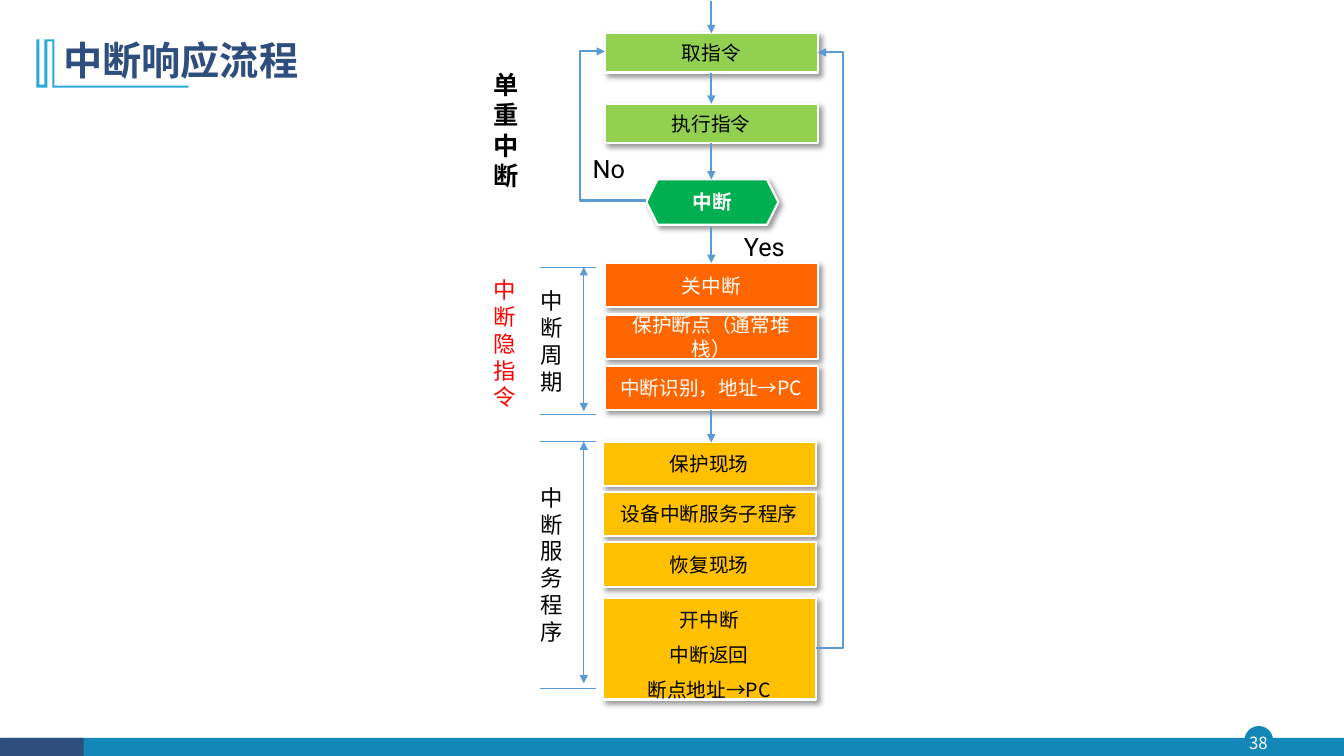
from lxml.etree import SubElement
from pptx import Presentation
from pptx.dml.color import RGBColor
from pptx.enum.shapes import MSO_CONNECTOR, MSO_SHAPE
from pptx.enum.text import MSO_ANCHOR, MSO_AUTO_SIZE, PP_ALIGN
from pptx.oxml.ns import qn
from pptx.util import Emu, Inches, Pt

COLORS = {
    "white": "FFFFFF", "black": "000000", "red": "FF0000",
    "navy": "2E4E7E", "teal": "1387B7", "sky": "28A9D6", "arrow": "5B9BD5",
    "fetch": "92D050", "decision": "00B050", "cycle": "FF6600", "service": "FFC000",
}
CJK, LATIN = "Noto Sans CJK SC", "Roboto"
TOP, BOTTOM = 0, 2
COLUMN = ROW = Inches(0.1)


class FlowSlide:
    """Draws flowchart elements on one slide, measured in grid columns and rows."""

    def __init__(self, deck):
        self.slide = deck.slides.add_slide(deck.slide_layouts[6])
        self.shapes = self.slide.shapes

    def color(self, name):
        return RGBColor.from_string(COLORS[name])

    def grid(self, *cells):
        return [Emu(round(cell * (ROW if i % 2 else COLUMN))) for i, cell in enumerate(cells)]

    def fill_text(self, frame, lines, size, color, font=CJK, bold=False, align=PP_ALIGN.LEFT, spacing=None):
        frame.word_wrap = True
        for index, line in enumerate(lines.split("\n")):
            paragraph = frame.paragraphs[0] if index == 0 else frame.add_paragraph()
            for key, value in {"alignment": align, "line_spacing": spacing}.items():
                setattr(paragraph, key, value)
            run = paragraph.add_run()
            run.text = line
            for key, value in {"size": Pt(size), "bold": bold, "name": font}.items():
                setattr(run.font, key, value)
            run.font.color.rgb = self.color(color)
            SubElement(run.font._element, qn("a:ea"), typeface=font)

    def label(self, area, lines, size, color="black", grow=True, anchor=MSO_ANCHOR.TOP, inset=None, **style):
        frame = self.shapes.add_textbox(*self.grid(*area)).text_frame
        settings = {"vertical_anchor": anchor}
        if grow:
            settings["auto_size"] = MSO_AUTO_SIZE.SHAPE_TO_FIT_TEXT
        if inset is not None:
            settings |= {f"margin_{side}": inset for side in ("left", "top", "right", "bottom")}
        for key, value in settings.items():
            setattr(frame, key, value)
        self.fill_text(frame, lines, size, color, **style)

    def paint(self, shape, fill, outline=None, width=1.5):
        shape.shadow.inherit = False
        shape.fill.solid()
        shape.fill.fore_color.rgb = self.color(fill)
        if outline:
            shape.line.color.rgb = self.color(outline)
            shape.line.width = Pt(width)
        else:
            shape.line.fill.background()

    def block(self, area, fill, kind=MSO_SHAPE.RECTANGLE, outline=None, width=1.5):
        shape = self.shapes.add_shape(kind, *self.grid(*area))
        self.paint(shape, fill, outline, width)
        return shape

    def step(self, area, lines, fill, color="black", kind=MSO_SHAPE.RECTANGLE, **style):
        shape = self.block(area, fill, kind, "white")
        effects = shape._element.spPr.find(qn("a:effectLst"))
        shadow = SubElement(effects, qn("a:outerShdw"), blurRad=str(int(Pt(4))), dist=str(int(Pt(3))),
                            dir="2700000", algn="tl", rotWithShape="0")
        tint = SubElement(shadow, qn("a:srgbClr"), val=COLORS["black"])
        SubElement(tint, qn("a:alpha"), val="40000")
        shape.text_frame.vertical_anchor = MSO_ANCHOR.MIDDLE
        self.fill_text(shape.text_frame, lines, 14, color, align=PP_ALIGN.CENTER, **style)
        return shape

    def outline(self, points, fill):
        start, *rest = [self.grid(*point) for point in points]
        builder = self.shapes.build_freeform(*start)
        builder.add_line_segments(rest, close=True)
        self.paint(builder.convert_to_shape(), fill)

    def arrow(self, start, end, source=None, target=None, via=None, width=1.5, ends=("tailEnd",)):
        kind = MSO_CONNECTOR.STRAIGHT if via is None else MSO_CONNECTOR.ELBOW
        link = self.shapes.add_connector(kind, *self.grid(*start, *end))
        if source is not None:
            link.begin_connect(source, BOTTOM)
        if target is not None:
            link.end_connect(target, TOP)
        link.line.color.rgb = self.color("arrow")
        link.line.width = Pt(width)
        for end_tag in ends:
            SubElement(link.line._get_or_add_ln(), qn(f"a:{end_tag}"), type="triangle")
        SubElement(link._element.spPr, qn("a:effectLst"))
        if via is not None:
            bend = round(100000 * (via - start[0]) / (end[0] - start[0]))
            adjustments = link._element.spPr.find(qn("a:prstGeom")).get_or_add_avLst()
            SubElement(adjustments, qn("a:gd"), name="adj1", fmla=f"val {bend}")

    def bracket(self, top, span_end, bottom):
        for row in (top, bottom):
            self.arrow((53.6, row), (59.1, row), width=0.5, ends=())
        self.arrow((57.9, top), (57.9, span_end), width=0.5, ends=("headEnd", "tailEnd"))


def draw_frame(page):
    page.block((123.5, 72.1, 2.7, 2.7), "teal", MSO_SHAPE.OVAL, "teal", 1)
    page.block((0.1, 73.2, 133.2, 1.9), "teal")
    page.block((0, 73.2, 8.3, 1.9), "navy")
    page.label((123.2, 72.1, 3.2, 3.1), "38", 12, "white", grow=False,
               anchor=MSO_ANCHOR.MIDDLE, inset=0, align=PP_ALIGN.CENTER)
    page.outline([(5.4, 3.9), (5.4, 8.5), (18.7, 8.5), (18.7, 8.7), (5.2, 8.7), (5.2, 4.1),
                  (4.7, 4.1), (4.7, 8.7), (3.6, 8.7), (3.6, 3.9), (3.9, 3.9), (3.9, 8.4),
                  (4.4, 8.4), (4.4, 3.9)], "sky")
    page.label((5.3, 2.8, 115, 6.8), "中断响应流程", 28, "navy", grow=False,
               anchor=MSO_ANCHOR.MIDDLE, bold=True, spacing=0.9)


def draw_flow(page):
    center, left, service_left, width = 70.55, 60, 59.8, 21.1
    fetch, execute = [
        page.step((left, 3.3 + 7 * i, width, 3.9), name, "fetch")
        for i, name in enumerate(["取指令", "执行指令"])
    ]
    page.step((64.1, 17.8, 13.1, 4.5), "中断", "decision", "white", MSO_SHAPE.HEXAGON, bold=True)
    disable, _, identify = [
        page.step((left, 26.1 + 5.1 * i, width, 4.4), name, "cycle", "white")
        for i, name in enumerate(["关中断", "保护断点（通常堆栈）", "中断识别，地址→PC"])
    ]
    for i, name in enumerate(["保护现场", "设备中断服务子程序", "恢复现场"]):
        page.step((service_left, 43.8 + 5 * i, width, 4.4), name, "service")
    page.step((service_left, 59.3, width, 10.1), "开中断\n中断返回\n断点地址→PC", "service", spacing=1.5)

    page.arrow((center, 0.1), (center, 3.3), target=fetch)
    page.arrow((center, 7.2), (center, 10.3), source=fetch, target=execute)
    page.arrow((center, 14.2), (center, 17.8), source=execute)
    page.arrow((center, 22.5), (center, 26.1), target=disable)
    page.arrow((center, 40.7), (center, 43.9), source=identify)
    page.arrow((64.1, 19.9), (left, 5.1), via=57.5)
    page.arrow((service_left + width, 64.3), (left + width, 5.2), via=83.6)


def draw_labels(page):
    page.label((72.8, 22.5, 8.1, 4), "Yes", 18, font=LATIN)
    page.label((57.8, 14.7, 6.3, 4), "No", 18, font=LATIN)
    page.label((48, 6.4, 4.7, 13.1), "单重中断", 18, bold=True)
    page.label((48, 26.9, 4.7, 14.5), "中断隐指令", 16, "red")
    page.bracket(26.5, 40.8, 41.1)
    page.label((52.6, 28, 4.7, 11.8), "中断\n周期", 16)
    page.bracket(43.8, 67.8, 68.3)
    page.label((52.6, 47.5, 4.7, 17.2), "中断\n服务程序", 16)


def main():
    deck = Presentation()
    for key, value in {"slide_width": Inches(13.33), "slide_height": Inches(7.5)}.items():
        setattr(deck, key, value)
    page = FlowSlide(deck)
    draw_frame(page)
    draw_flow(page)
    draw_labels(page)
    deck.save("out.pptx")


if __name__ == "__main__":
    main()
